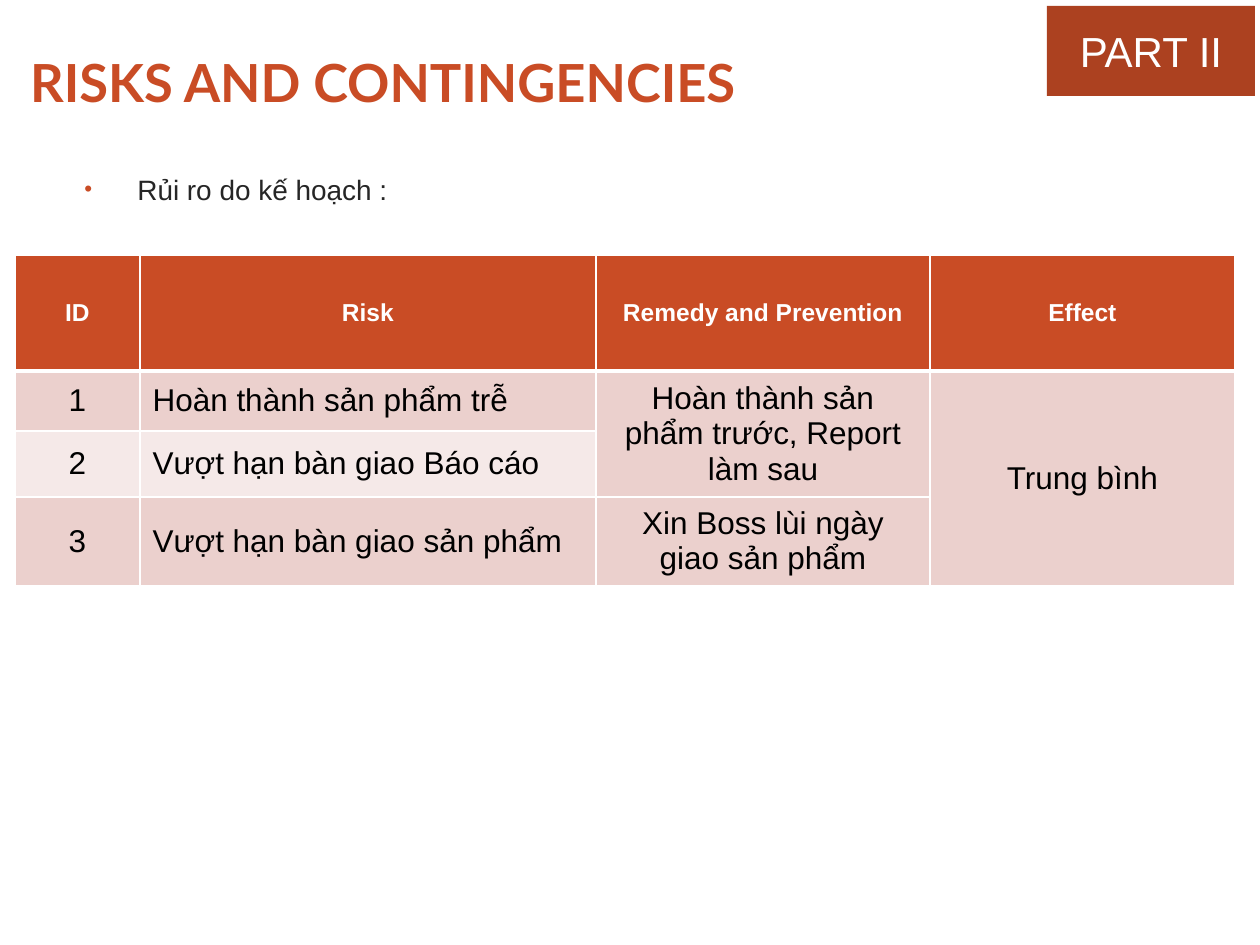
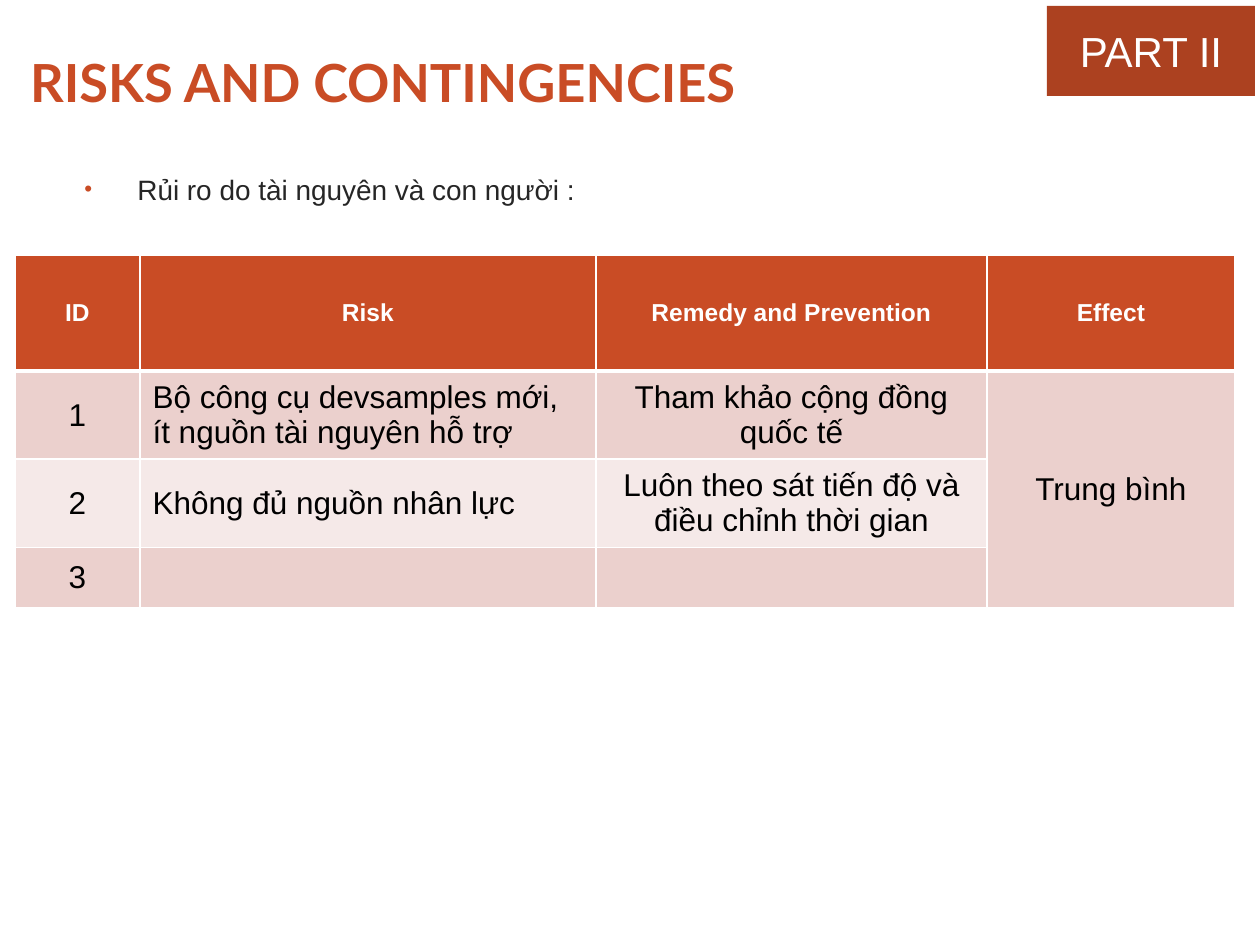
"""Build two risk slides that share a title, a part tag and a table style."""
import pptx
import pptx.util
import pptx.dml.color
import pptx.enum.shapes
import pptx.enum.text
import pptx.oxml.ns
from lxml import etree

RGB = pptx.dml.color.RGBColor
RUST = RGB(0xC9, 0x4C, 0x25)
BRICK = RGB(0xAC, 0x41, 0x20)
WHITE = RGB(0xFF, 0xFF, 0xFF)
BLACK = RGB(0x00, 0x00, 0x00)
GREY = RGB(0x26, 0x26, 0x26)
ROSE = RGB(0xEB, 0xD0, 0xCD)
BLUSH = RGB(0xF5, 0xE9, 0xE8)

ALIGN = pptx.enum.text.PP_ALIGN
MIDDLE = pptx.enum.text.MSO_ANCHOR.MIDDLE
SCALE = 914400 / 126

HEADS = ["ID", "Risk", "Remedy and Prevention", "Effect"]
ROWS = [116, 60, 60, 60]
SLIDES = [
    {
        "topic": "Rủi ro do kế hoạch :",
        "cols": [125, 456, 334, 305],
        "body": [
            ["1", "Hoàn thành sản phẩm trễ",
             "Hoàn thành sản phẩm trước, Report làm sau", "Trung bình"],
            ["2", "Vượt hạn bàn giao Báo cáo", "", ""],
            ["3", "Vượt hạn bàn giao sản phẩm",
             "Xin Boss lùi ngày giao sản phẩm", ""],
        ],
        "spans": [(1, 2, 2), (1, 3, 3)],
    },
    {
        "topic": "Rủi ro do tài nguyên và con người :",
        "cols": [125, 456, 391, 248],
        "body": [
            ["1", "Bộ công cụ devsamples mới, ít nguồn tài nguyên hỗ trợ",
             "Tham khảo cộng đồng quốc tế", "Trung bình"],
            ["2", "Không đủ nguồn nhân lực",
             "Luôn theo sát tiến độ và điều chỉnh thời gian", ""],
            ["3", "", "", ""],
        ],
        "spans": [(1, 3, 3)],
    },
]


def px(num):
    return pptx.util.Emu(round(num * SCALE))


def node(parent, tag, **attrs):
    return etree.SubElement(parent, pptx.oxml.ns.qn(tag), attrs)


class Deck:
    """Hold the style and the current slide."""

    def __init__(self):
        self.prs = pptx.Presentation()
        self.prs.slide_width, self.prs.slide_height = px(1260), px(945)
        self.slide = None

    def start(self):
        self.slide = self.prs.slides.add_slide(self.prs.slide_layouts[5])

    def label(self, para, text, size, color, bold=False, font="Arial",
              align=ALIGN.LEFT):
        para.alignment = align
        if text:
            run = para.add_run()
            run.text = text
            run.font.name = font
            run.font.size = pptx.util.Pt(size)
            run.font.bold = bold
            run.font.color.rgb = color

    def indent(self, para, left, first=0):
        props = para._p.get_or_add_pPr()
        props.set("marL", str(px(left)))
        props.set("indent", str(px(first)))
        return props

    def title(self, text):
        shape = self.slide.shapes.title
        shape.left, shape.top = px(5), px(45)
        shape.width, shape.height = px(784), px(74)
        frame = shape.text_frame
        frame.auto_size = pptx.enum.text.MSO_AUTO_SIZE.NONE
        frame.vertical_anchor = MIDDLE
        frame.margin_left = frame.margin_right = 0
        para = frame.paragraphs[0]
        self.label(para, text, 30, RUST, True, "Lato")
        self.indent(para, 25)

    def tag(self, text):
        shape = self.slide.shapes.add_shape(
            pptx.enum.shapes.MSO_SHAPE.RECTANGLE,
            px(1047), px(6), px(208), px(90))
        shape.shadow.inherit = False
        shape.fill.solid()
        shape.fill.fore_color.rgb = BRICK
        shape.line.fill.background()
        frame = shape.text_frame
        frame.vertical_anchor = MIDDLE
        self.label(frame.paragraphs[0], text, 24, WHITE, align=ALIGN.CENTER)

    def bullet(self, text):
        box = self.slide.shapes.add_textbox(px(63), px(166), px(1065), px(58))
        box.text_frame.word_wrap = True
        para = box.text_frame.paragraphs[0]
        self.label(para, text, 16, GREY)
        para.space_before = pptx.util.Pt(3)
        para.space_after = pptx.util.Pt(10)
        props = self.indent(para, 62, -53)
        node(node(props, "a:buClr"), "a:srgbClr", val=str(RUST))
        node(props, "a:buSzPct", val="80000")
        node(props, "a:buFont", typeface="Arial")
        node(props, "a:buChar", char="•")

    def edge(self, cell, row):
        props = cell._tc.get_or_add_tcPr()
        thick = {"T": 3 if row == 1 else 1, "B": 3 if row == 0 else 1}
        for side in "LRTB":
            width = pptx.util.Pt(thick.get(side, 1))
            line = node(props, "a:ln" + side, w=str(width))
            node(node(line, "a:solidFill"), "a:srgbClr", val=str(WHITE))

    def cell(self, cell, row, col, text):
        self.edge(cell, row)
        cell.fill.solid()
        cell.vertical_anchor = MIDDLE
        para = cell.text_frame.paragraphs[0]
        if row == 0:
            cell.fill.fore_color.rgb = RUST
            self.label(para, text, 14, WHITE, True, align=ALIGN.CENTER)
        else:
            cell.fill.fore_color.rgb = ROSE if row % 2 else BLUSH
            align = ALIGN.LEFT if col == 1 else ALIGN.CENTER
            self.label(para, text, 18, BLACK, align=align)

    def table(self, cols, body, spans):
        data = [HEADS] + body
        grid = self.slide.shapes.add_table(
            len(data), len(cols), px(15), px(255),
            px(sum(cols)), px(sum(ROWS))).table
        grid.first_row = grid.horz_banding = False
        for col, width in zip(grid.columns, cols):
            col.width = px(width)
        for row, height in zip(grid.rows, ROWS):
            row.height = px(height)
        for row, texts in enumerate(data):
            for col, text in enumerate(texts):
                self.cell(grid.cell(row, col), row, col, text)
        for row, col, count in spans:
            grid.cell(row, col).merge(grid.cell(row + count - 1, col))


def main():
    deck = Deck()
    for item in SLIDES:
        deck.start()
        deck.title("RISKS AND CONTINGENCIES")
        deck.tag("PART II")
        deck.bullet(item["topic"])
        deck.table(item["cols"], item["body"], item["spans"])
    deck.prs.save("out.pptx")


if __name__ == "__main__":
    main()
